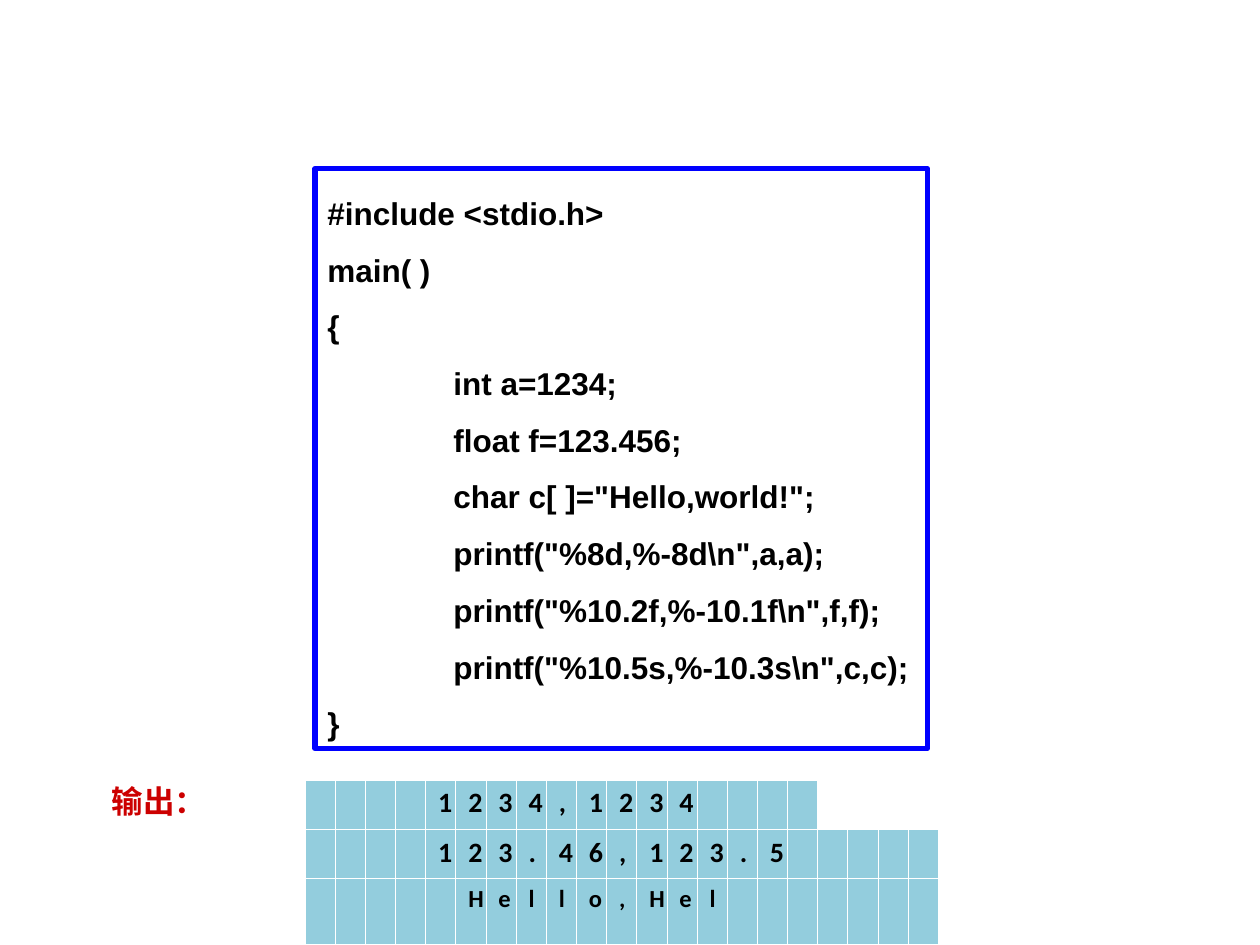
"""Build a slide showing a C printf program and its output, character by character."""
from lxml import etree
from pptx import Presentation
from pptx import util as u
from pptx.dml.color import RGBColor
from pptx.enum import shapes, text
from pptx.oxml.ns import qn

PROGRAM = [
    "#include <stdio.h>",
    "main( )",
    "{",
    "\tint a=1234;",
    "\tfloat f=123.456;",
    "\tchar c[ ]=\"Hello,world!\";",
    "\tprintf(\"%8d,%-8d\\n\",a,a);",
    "\tprintf(\"%10.2f,%-10.1f\\n\",f,f);",
    "\tprintf(\"%10.5s,%-10.3s\\n\",c,c);",
    "}",
]
LABEL = "输出："
OUTPUT = [
    {"printed": "1234,1234", "offset": 4, "columns": 17, "size": 16, "height": 0.41},
    {"printed": "123.46,123.5", "offset": 4, "columns": 21, "size": 16, "height": 0.41},
    {"printed": "Hello,Hel", "offset": 5, "columns": 21, "size": 14, "height": 0.53},
]
OUTPUT_LEFT, OUTPUT_TOP, OUTPUT_PITCH = 2.42, 6.19, 0.39
COLUMN_WIDTH = 0.2395
BORDERS = {"a:lnL": 0.45, "a:lnR": 0.45, "a:lnT": 0.45, "a:lnB": 1.47}

BLACK = RGBColor(0x00, 0x00, 0x00)
WHITE = RGBColor(0xFF, 0xFF, 0xFF)
BLUE = RGBColor(0x00, 0x00, 0xFF)
RED = RGBColor(0xCC, 0x00, 0x00)
AQUA = RGBColor(0x93, 0xCD, 0xDD)


def write(frame, lines, size=18, font="Arial", color=BLACK,
          align=text.PP_ALIGN.LEFT, spacing=1.0):
    for index, line in enumerate(lines):
        paragraph = frame.add_paragraph() if index else frame.paragraphs[0]
        paragraph.alignment = align
        paragraph.line_spacing = spacing
        if line.startswith("\t"):
            tabs = etree.SubElement(paragraph._p.get_or_add_pPr(), qn("a:tabLst"))
            etree.SubElement(tabs, qn("a:tab"), pos=str(u.Inches(1)), algn="l")
        run = paragraph.add_run()
        run.text = line
        run.font.size = u.Pt(size)
        run.font.name = font
        run.font.bold = True
        run.font.color.rgb = color


def draw_borders(cell):
    properties = cell._tc.get_or_add_tcPr()
    for tag, width in BORDERS.items():
        border = etree.SubElement(properties, qn(tag), w=str(u.Pt(width)))
        fill = etree.SubElement(border, qn("a:solidFill"))
        etree.SubElement(fill, qn("a:srgbClr"), val=str(WHITE))


def add_output(slide, top, printed, offset, columns, size, height):
    grid = slide.shapes.add_table(
        1, columns, u.Inches(OUTPUT_LEFT), u.Inches(top),
        u.Inches(columns * COLUMN_WIDTH), u.Inches(height)).table
    grid.first_row = grid.horz_banding = False
    characters = (" " * offset + printed).ljust(columns)
    for column, character in enumerate(characters):
        grid.columns[column].width = u.Inches(COLUMN_WIDTH)
        cell = grid.cell(0, column)
        draw_borders(cell)
        cell.fill.solid()
        cell.fill.fore_color.rgb = AQUA
        if character != " ":
            write(cell.text_frame, [character], size=size, font="Calibri",
                  align=text.PP_ALIGN.CENTER)


def main():
    deck = Presentation()
    deck.slide_width, deck.slide_height = u.Inches(10), u.Inches(7.5)
    slide = deck.slides.add_slide(deck.slide_layouts[6])

    program = slide.shapes.add_shape(
        shapes.MSO_SHAPE.RECTANGLE,
        u.Inches(2.5), u.Inches(1.34), u.Inches(4.86), u.Inches(4.6))
    program.shadow.inherit = False
    program.fill.solid()
    program.fill.fore_color.rgb = WHITE
    program.line.color.rgb = BLUE
    program.line.width = u.Pt(3)
    program.text_frame.word_wrap = True
    program.text_frame.vertical_anchor = text.MSO_ANCHOR.TOP
    write(program.text_frame, PROGRAM, spacing=1.5)

    label = slide.shapes.add_textbox(
        u.Inches(0.79), u.Inches(6.19), u.Inches(0.95), u.Inches(0.37))
    label.text_frame.word_wrap = False
    write(label.text_frame, [LABEL], color=RED, spacing=0.9)

    for index, line in enumerate(OUTPUT):
        add_output(slide, OUTPUT_TOP + index * OUTPUT_PITCH, **line)

    deck.save("out.pptx")


if __name__ == "__main__":
    main()
